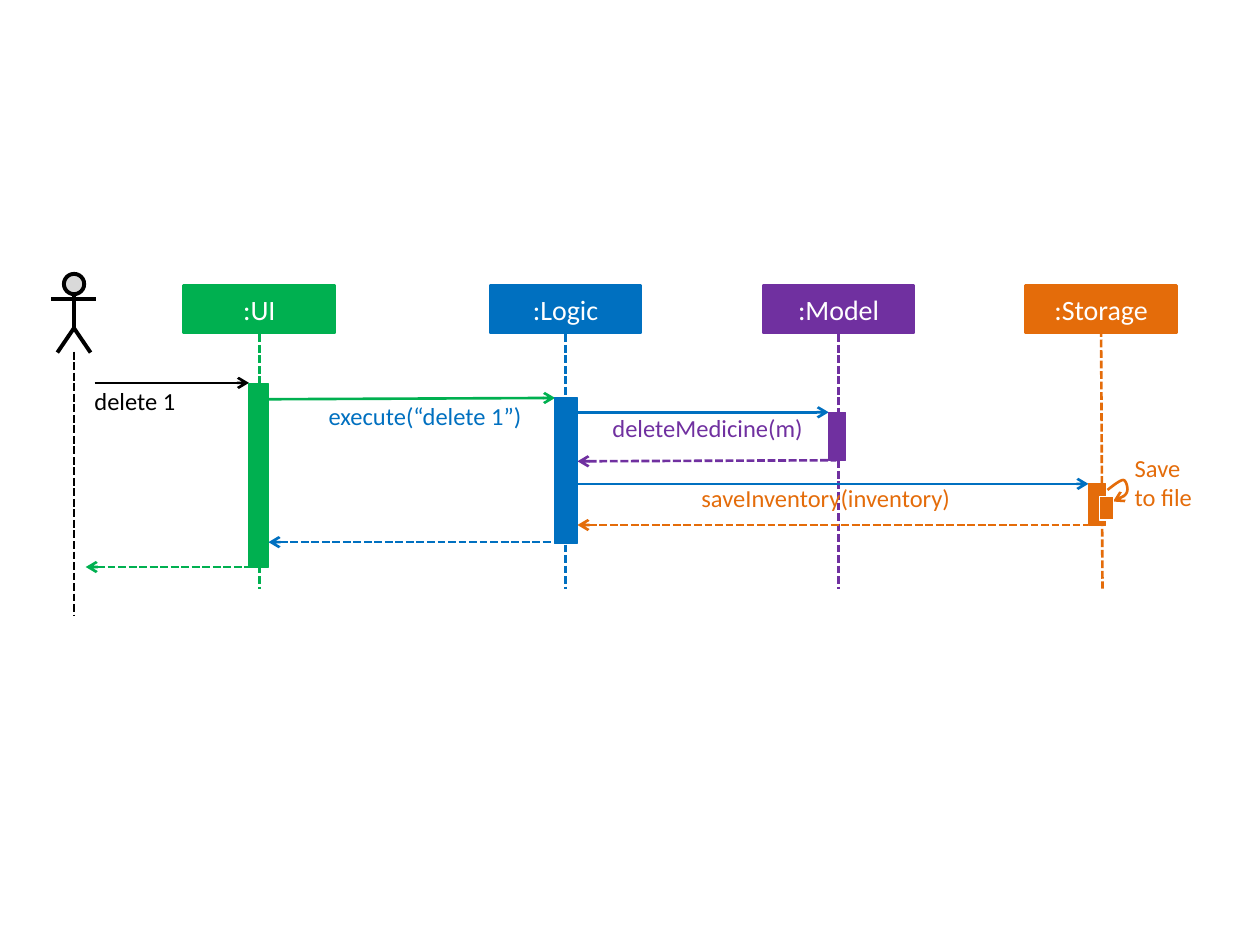
from dataclasses import dataclass
from typing import Any, Optional

import pptx
import pptx.dml.color
import pptx.enum.dml
import pptx.enum.shapes
import pptx.enum.text
import pptx.oxml
import pptx.oxml.ns
import pptx.util

Pt = pptx.util.Pt
Shape = pptx.enum.shapes.MSO_SHAPE
Point = tuple[float, float]


@dataclass(frozen=True)
class Theme:
    font: str = "Calibri"
    header_size: float = 16
    label_size: float = 14
    thin: float = 0.75
    line: float = 1.5
    thick: float = 2.25
    black: str = "000000"
    white: str = "FFFFFF"
    head: str = "D9D9D9"
    ui: str = "00B050"
    logic: str = "0070C0"
    model: str = "7030A0"
    storage: str = "E46C0A"


@dataclass(frozen=True)
class Box:
    left: float
    top: float
    width: float
    height: float


@dataclass(frozen=True)
class Participant:
    name: str
    color: str
    center: float
    lifeline: tuple[Point, Point]
    bar: Box


@dataclass(frozen=True)
class Message:
    """A reply is dashed and points back to its left end."""
    left: Point
    right: Point
    color: str
    reply: bool = False


@dataclass(frozen=True)
class Label:
    text: str
    box: Box
    color: str


THEME = Theme()
HEADER_TOP, HEADER_WIDTH, HEADER_HEIGHT = 163, 86.4, 27.4
LIFELINE_TOP, LIFELINE_END = 191, 336.4
ACTOR_X = 42.3

PARTICIPANTS = [
    Participant(":UI", THEME.ui, 148.2, ((148.2, LIFELINE_TOP), (148.2, LIFELINE_END)),
                Box(142.3, 219, 10.9, 105.2)),
    Participant(":Logic", THEME.logic, 323.2, ((323.2, LIFELINE_TOP), (323.2, LIFELINE_END)),
                Box(316.8, 227, 13, 83.5)),
    Participant(":Model", THEME.model, 479.2, ((479.2, LIFELINE_TOP), (479.2, LIFELINE_END)),
                Box(473.6, 235.6, 9.5, 27.4)),
    Participant(":Storage", THEME.storage, 629.2, ((629.2, 188), (630, LIFELINE_END)),
                Box(622, 276.5, 9.9, 23.8)),
]

MESSAGES = [
    Message((54, 218.8), (142.3, 218.8), THEME.black),
    Message((142.6, 228.2), (317.2, 227.4), THEME.ui),
    Message((317.5, 235.6), (473.6, 235.6), THEME.logic),
    Message((330, 263.6), (478, 263), THEME.model, reply=True),
    Message((327, 276.5), (622, 276.5), THEME.logic),
    Message((330, 300), (622, 300), THEME.storage, reply=True),
    Message((153.4, 309.8), (316, 309.8), THEME.logic, reply=True),
    Message((49, 324), (147.6, 324), THEME.ui, reply=True),
]

LABELS = [
    Label("delete 1", Box(54, 220.6, 67.7, 17), THEME.black),
    Label("execute(“delete 1”)", Box(187.8, 229.2, 112.3, 17), THEME.logic),
    Label("deleteMedicine(m)", Box(350, 236.2, 112.3, 17), THEME.model),
    Label("saveInventory(inventory)", Box(400.8, 275.8, 209.5, 17), THEME.storage),
    Label("Save\nto file", Box(648.4, 258.6, 42.5, 34), THEME.storage),
]


def rgb(color: str) -> Any:
    return pptx.dml.color.RGBColor.from_string(color)


def apply_format(target: Any, values: dict[str, Any]) -> None:
    for name, value in values.items():
        setattr(target, name, value)


def style_line(shape: Any, color: str, width: float, dashed: bool = False,
               arrow: Optional[str] = None) -> None:
    """Style an outline; arrow is headEnd (at the start) or tailEnd (at the end)."""
    shape.line.color.rgb = rgb(color)
    shape.line.width = Pt(width)
    if dashed:
        shape.line.dash_style = pptx.enum.dml.MSO_LINE.SQUARE_DOT
    if arrow:
        outline = shape.element.spPr.find(pptx.oxml.ns.qn("a:ln"))
        outline.append(pptx.oxml.parse_xml(
            f'<a:{arrow} {pptx.oxml.ns.nsdecls("a")} type="arrow"/>'))


def draw_line(shapes: Any, start: Point, end: Point, color: str, width: float = THEME.line,
              dashed: bool = False, arrow: Optional[str] = None) -> None:
    connector = shapes.add_connector(pptx.enum.shapes.MSO_CONNECTOR.STRAIGHT,
                                     *(Pt(value) for value in (*start, *end)))
    style_line(connector, color, width, dashed, arrow)
    connector.element.spPr.append(pptx.oxml.parse_xml(
        f'<a:effectLst {pptx.oxml.ns.nsdecls("a")}/>'))


def draw_shape(shapes: Any, box: Box, fill: str, outline: str, width: float,
               kind: Any = Shape.RECTANGLE) -> Any:
    shape = shapes.add_shape(kind, Pt(box.left), Pt(box.top), Pt(box.width), Pt(box.height))
    shape.shadow.inherit = False
    shape.fill.solid()
    shape.fill.fore_color.rgb = rgb(fill)
    style_line(shape, outline, width)
    return shape


def draw_path(shapes: Any, points: list[Point], color: str, width: float,
              arrow: Optional[str] = None) -> None:
    start, *rest = [(Pt(x), Pt(y)) for x, y in points]
    builder = shapes.build_freeform(*start)
    builder.add_line_segments(rest, close=False)
    outline = builder.convert_to_shape()
    outline.fill.background()
    outline.shadow.inherit = False
    style_line(outline, color, width, arrow=arrow)


def curve_points(controls: list[Point], steps: int = 8) -> list[Point]:
    """Sample a chain of cubic Bezier curves that share their end points."""
    points = [controls[0]]
    for first in range(0, len(controls) - 1, 3):
        curve = controls[first:first + 4]
        for step in range(1, steps + 1):
            t = step / steps
            weights = ((1 - t) ** 3, 3 * t * (1 - t) ** 2, 3 * t * t * (1 - t), t ** 3)
            points.append((sum(w * x for w, (x, _) in zip(weights, curve)),
                           sum(w * y for w, (_, y) in zip(weights, curve))))
    return points


def write_text(frame: Any, text: str, size: float, color: str, align: Any) -> None:
    para = frame.paragraphs[0]
    para.text = text
    para.alignment = align
    for span in para.runs:
        apply_format(span.font, {"name": THEME.font, "size": Pt(size)})
        span.font.color.rgb = rgb(color)


def draw_header(shapes: Any, participant: Participant) -> None:
    box = Box(participant.center - HEADER_WIDTH / 2, HEADER_TOP, HEADER_WIDTH, HEADER_HEIGHT)
    header = draw_shape(shapes, box, participant.color, participant.color, THEME.line)
    header.text_frame.vertical_anchor = pptx.enum.text.MSO_ANCHOR.MIDDLE
    write_text(header.text_frame, participant.name, THEME.header_size, THEME.white,
               pptx.enum.text.PP_ALIGN.CENTER)


def draw_label(shapes: Any, label: Label) -> None:
    box = label.box
    frame = shapes.add_textbox(Pt(box.left), Pt(box.top), Pt(box.width), Pt(box.height)).text_frame
    apply_format(frame, {"word_wrap": True, "margin_left": 0, "margin_right": 0,
                         "margin_top": 0, "margin_bottom": 0,
                         "auto_size": pptx.enum.text.MSO_AUTO_SIZE.SHAPE_TO_FIT_TEXT})
    write_text(frame, label.text, THEME.label_size, label.color, pptx.enum.text.PP_ALIGN.LEFT)


def draw_actor(shapes: Any) -> None:
    draw_line(shapes, (ACTOR_X, 201), (ACTOR_X, 352), THEME.black, dashed=True)
    figure = shapes.add_group_shape().shapes
    draw_shape(figure, Box(ACTOR_X - 5.8, 156.5, 11.6, 11.6), THEME.head, THEME.black,
               THEME.thick, Shape.FLOWCHART_CONNECTOR)
    draw_line(figure, (ACTOR_X, 168), (ACTOR_X, 188), THEME.black, THEME.thick)
    draw_line(figure, (29.3, 170.7), (54.9, 170.7), THEME.black, THEME.thick)
    draw_path(figure, [(32.8, 201.5), (ACTOR_X, 187.5), (51.8, 201.5)], THEME.black, THEME.thick)


def draw_self_call(shapes: Any) -> None:
    call = shapes.add_group_shape().shapes
    loop = [(636, 286.6), (639.4, 285.1), (643, 283.7), (643.9, 281.5), (645, 279.4),
            (643.6, 274.5), (642, 274.3), (640.2, 274.2), (636.5, 277.2), (632.9, 280)]
    draw_path(call, curve_points(loop), THEME.storage, THEME.line, "headEnd")
    draw_shape(call, Box(628.4, 283.7, 7.8, 13.4), THEME.storage, THEME.white, THEME.thin)


def main() -> None:
    deck = pptx.Presentation()
    apply_format(deck, {"slide_width": Pt(720), "slide_height": Pt(540)})
    shapes = deck.slides.add_slide(deck.slide_layouts[6]).shapes
    draw_actor(shapes)
    for participant in PARTICIPANTS:
        draw_line(shapes, *participant.lifeline, participant.color, dashed=True)
        draw_header(shapes, participant)
    for message in MESSAGES:
        draw_line(shapes, message.left, message.right, message.color, dashed=message.reply,
                  arrow="headEnd" if message.reply else "tailEnd")
    for participant in PARTICIPANTS:
        draw_shape(shapes, participant.bar, participant.color, participant.color, THEME.thin)
    draw_self_call(shapes)
    for label in LABELS:
        draw_label(shapes, label)
    deck.save("out.pptx")


if __name__ == "__main__":
    main()
